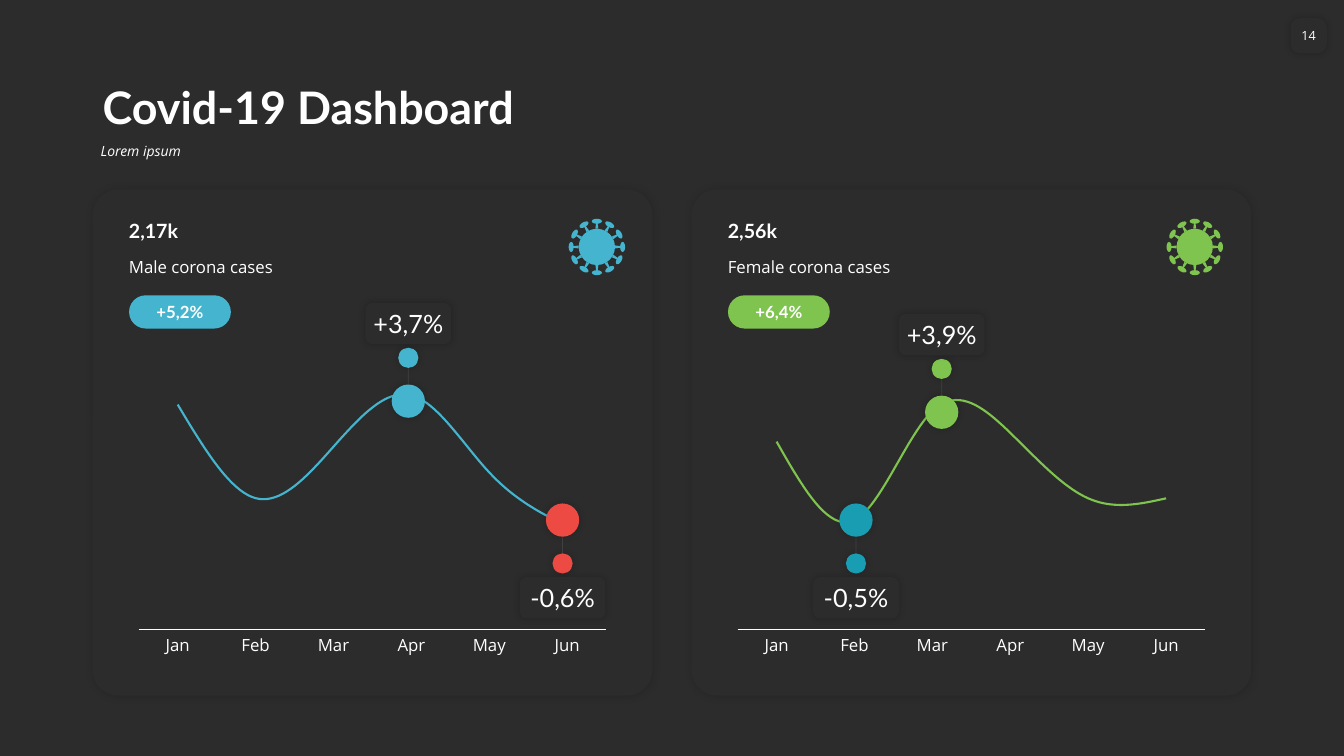
from math import cos, radians, sin

from lxml.etree import SubElement
from pptx import Presentation
from pptx.chart.data import CategoryChartData
from pptx.dml.color import RGBColor
from pptx.enum.chart import XL_CHART_TYPE, XL_MARKER_STYLE, XL_TICK_MARK
from pptx.enum.shapes import MSO_CONNECTOR, MSO_SHAPE
from pptx.enum.text import MSO_ANCHOR, PP_ALIGN
from pptx.oxml import parse_xml
from pptx.oxml.ns import nsdecls, qn
from pptx.util import Inches, Pt

DARK = RGBColor(0x2C, 0x2C, 0x2C)
WHITE = RGBColor(0xFF, 0xFF, 0xFF)
BLUE = RGBColor(0x45, 0xB5, 0xCF)
GREEN = RGBColor(0x7E, 0xC4, 0x4E)
RED = RGBColor(0xED, 0x4A, 0x43)
TEAL = RGBColor(0x19, 0x9D, 0xB3)
LATO, OPEN = "Lato", "Open Sans"
ROUND, OVAL = MSO_SHAPE.ROUNDED_RECTANGLE, MSO_SHAPE.OVAL
MONTHS = ["Jan", "Feb", "Mar", "Apr", "May", "Jun"]


def draw(shapes, kind, box, color, glow=None, adj=None):
    """Add a filled shape; glow is shadow opacity (%), blur (pt) and distance (pt)."""
    shape = shapes.add_shape(kind, *[Inches(n) for n in box])
    shape.fill.solid()
    shape.fill.fore_color.rgb = color
    shape.line.fill.background()
    shape.shadow.inherit = False
    if adj is not None:
        shape.adjustments[0] = adj
    if glow:
        alpha, blur, dist = glow
        effect = shape._element.spPr.find(qn("a:effectLst"))
        effect.append(parse_xml(
            f'<a:outerShdw {nsdecls("a")} blurRad="{Pt(blur)}" dist="{Pt(dist)}" '
            f'dir="2700000" algn="ctr" rotWithShape="0"><a:srgbClr val="000000">'
            f'<a:alpha val="{alpha * 1000}"/></a:srgbClr></a:outerShdw>'))
    return shape


def write(shape, text, size, face, bold=False, center=True, inset=None):
    frame = shape.text_frame
    frame.text = text
    frame.word_wrap = True
    if center:
        frame.vertical_anchor = MSO_ANCHOR.MIDDLE
        frame.paragraphs[0].alignment = PP_ALIGN.CENTER
    if inset is not None:
        frame.margin_left = frame.margin_right = Inches(inset)
    font = frame.paragraphs[0].runs[0].font
    font.size, font.name, font.bold = Pt(size), face, bold
    font.color.rgb = WHITE
    return frame


deck = Presentation()
deck.slide_width, deck.slide_height = Inches(13.33), Inches(7.5)
slide = deck.slides.add_slide(deck.slide_layouts[6])
slide.background.fill.solid()
slide.background.fill.fore_color.rgb = DARK
shapes = slide.shapes
soft = (20, 5, 0)

# Heading and page number
box = shapes.add_textbox(Inches(0.92), Inches(0.58), Inches(11.5), Inches(0.8))
title = write(box, "Covid-19 Dashboard", 32, LATO, True, False)
title.vertical_anchor = MSO_ANCHOR.BOTTOM
title.paragraphs[0].line_spacing = 0.9
box = shapes.add_textbox(Inches(0.9), Inches(1.38), Inches(11.52), Inches(0.36))
lead = write(box, "Lorem ipsum", 10, OPEN, False, False)
lead.paragraphs[0].line_spacing = 0.9
lead.paragraphs[0].runs[0].font.italic = True
page = draw(shapes, ROUND, (12.8, 0.18, 0.36, 0.35), DARK, soft, 0.27)
write(page, "14", 9, OPEN, inset=0).word_wrap = False

# Panels: left, total, label, change, colour, values, axis top, virus centre,
# callouts (centre x, centre y, direction, text, colour)
panels = [
    (0.92, "2,17k", "Male corona cases", "+5,2%", BLUE,
     (96, 56, 78, 100, 67, 44), 110, 5.92,
     [(4.05, 3.98, -1, "+3,7%", BLUE), (5.58, 5.16, 1, "-0,6%", RED)]),
    (6.86, "2,56k", "Female corona cases", "+6,4%", GREEN,
     (86, 50, 100, 90, 60, 60), 118, 11.85,
     [(9.34, 4.09, -1, "+3,9%", GREEN), (8.49, 5.16, 1, "-0,5%", TEAL)]),
]

for left, total, label, change, color, values, top, hub, calls in panels:
    draw(shapes, ROUND, (left, 1.88, 5.55, 5.02), DARK, (15, 6, 1), 0.05)
    box = shapes.add_textbox(Inches(left + 0.26), Inches(2.11), Inches(5.01), Inches(0.34))
    write(box, total, 14, LATO, True, False).vertical_anchor = MSO_ANCHOR.BOTTOM
    box = shapes.add_textbox(Inches(left + 0.26), Inches(2.5), Inches(5.01), Inches(0.3))
    write(box, label, 12, OPEN, False, False)
    pill = draw(shapes, ROUND, (left + 0.36, 2.93, 1.01, 0.33), color, adj=0.5)
    frame = write(pill, change, 12, LATO, True, inset=0)
    frame.margin_top = frame.margin_bottom = 0

    # Line chart
    data = CategoryChartData()
    data.categories = MONTHS
    data.add_series("Series 1", values)
    chart = shapes.add_chart(XL_CHART_TYPE.LINE, Inches(left + 0.36), Inches(3.6),
                             Inches(4.83), Inches(2.97), data).chart
    chart.has_legend = chart.has_title = False
    chart.font.size, chart.font.name = Pt(12), OPEN
    chart.font.color.rgb = WHITE
    months = chart.category_axis
    months.major_tick_mark = months.minor_tick_mark = XL_TICK_MARK.NONE
    months.has_major_gridlines = False
    months.format.line.color.rgb = WHITE
    months.format.line.width = Pt(0.75)
    scale = chart.value_axis
    scale.visible = scale.has_major_gridlines = False
    scale.minimum_scale, scale.maximum_scale = 0, top
    plot = chart.plots[0]
    plot.vary_by_categories = False
    curve = plot.series[0]
    curve.smooth = True
    curve.marker.style = XL_MARKER_STYLE.NONE
    curve.format.line.color.rgb = color
    curve.format.line.width = Pt(1.5)
    area = chart._chartSpace.chart.plotArea
    for old in area.findall(qn("c:layout")):
        area.remove(old)
    area.insert(0, parse_xml(
        f'<c:layout {nsdecls("c")}><c:manualLayout><c:layoutTarget val="inner"/>'
        '<c:xMode val="edge"/><c:yMode val="edge"/><c:x val="0.02"/><c:y val="0.03"/>'
        '<c:w val="0.96"/><c:h val="0.86"/></c:manualLayout></c:layout>'))

    # Callouts: dot on the curve, stem, small dot, tag
    for x, y, way, text, tint in calls:
        draw(shapes, OVAL, (x - 0.165, y - 0.165, 0.33, 0.33), tint, soft)
        stem = shapes.add_connector(MSO_CONNECTOR.STRAIGHT, Inches(x), Inches(y + way * 0.17),
                                    Inches(x), Inches(y + way * 0.33))
        stem.line.color.rgb = WHITE
        stem.line.width = Pt(0.5)
        props = stem._element.spPr
        SubElement(next(props.iter(qn("a:srgbClr"))), qn("a:alpha"), val="10000")
        SubElement(props, qn("a:effectLst"))
        draw(shapes, OVAL, (x - 0.1, y + way * 0.43 - 0.1, 0.2, 0.2), tint, soft)
        tag = draw(shapes, ROUND, (x - 0.425, y + way * 0.77 - 0.205, 0.85, 0.41), DARK, soft)
        write(tag, text, 18, LATO, inset=0.04)

    # Virus: a ball with twelve spikes around it
    virus = shapes.add_group_shape().shapes
    mid = 2.45
    draw(virus, OVAL, (hub - 0.18, mid - 0.18, 0.36, 0.36), color)
    for turn in range(0, 360, 30):
        dx, dy = sin(radians(turn)), -cos(radians(turn))
        for kind, reach, wide, high, adj in [(MSO_SHAPE.TRAPEZOID, 0.21, 0.03, 0.06, 0.27),
                                             (OVAL, 0.255, 0.1, 0.05, None)]:
            part = draw(virus, kind, (hub + reach * dx - wide / 2, mid + reach * dy - high / 2,
                                      wide, high), color, adj=adj)
            part.rotation = turn

deck.save("out.pptx")
